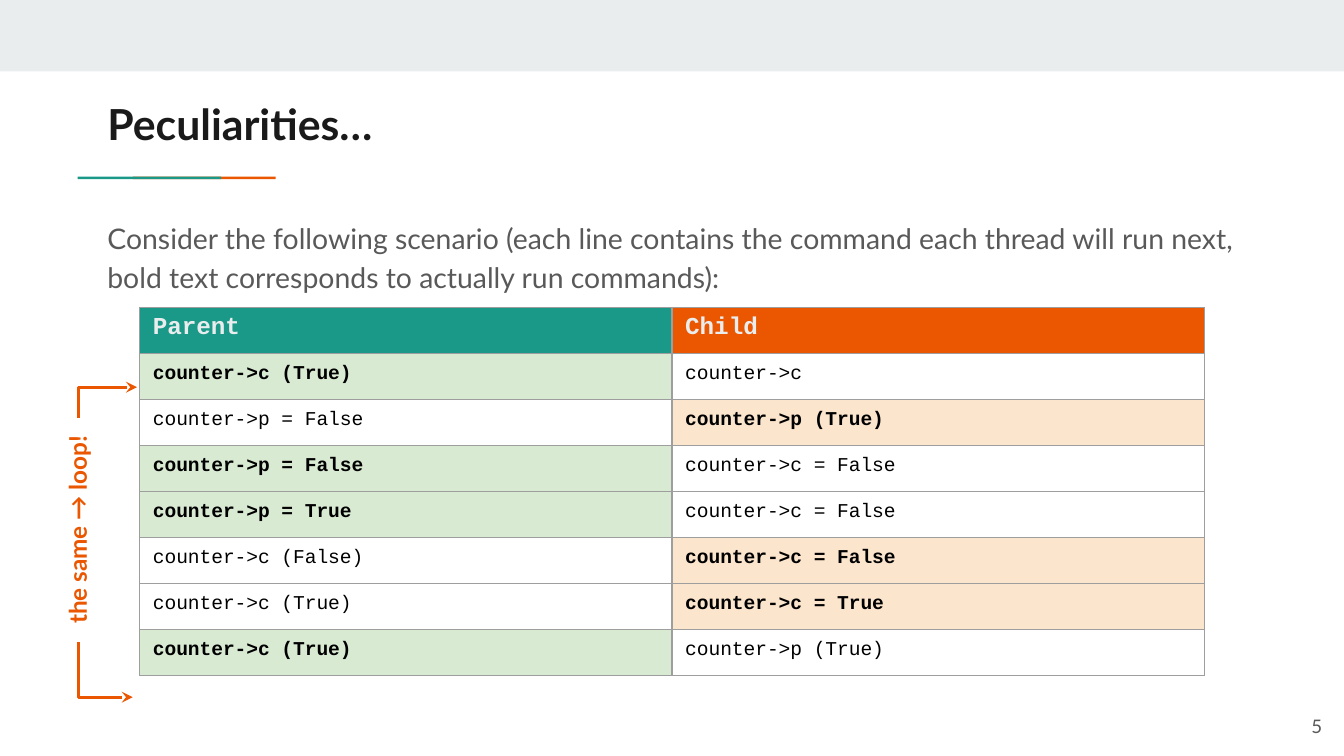
import pptx
import pptx.dml.color
import pptx.enum.shapes
import pptx.enum.text
import pptx.oxml
import pptx.oxml.ns
import pptx.util

Cm = pptx.util.Cm
Pt = pptx.util.Pt
ALIGN = pptx.enum.text.PP_ALIGN
ANCHOR = pptx.enum.text.MSO_ANCHOR
NS = pptx.oxml.ns.nsdecls("a")
TEAL, ORANGE, GREY = "1A9988", "EB5600", "595959"


def rgb(value):
    return pptx.dml.color.RGBColor.from_string(value)


def write(tf, text, color, margins, para=None, **font):
    tf.word_wrap = True
    tf.auto_size = pptx.enum.text.MSO_AUTO_SIZE.NONE
    for side, value in zip(("left", "top", "right", "bottom"), margins):
        setattr(tf, "margin_" + side, Cm(value))
    p = tf.paragraphs[0]
    for name, value in {"alignment": ALIGN.LEFT, **(para or {})}.items():
        setattr(p, name, value)
    r = p.add_run()
    r.text = text
    r.font.color.rgb = rgb(color)
    for name, value in {"name": "Lato", "bold": False, **font}.items():
        setattr(r.font, name, value)


prs = pptx.Presentation()
prs.slide_width, prs.slide_height = Cm(25.4), Cm(14.29)
slide = prs.slides.add_slide(prs.slide_layouts[5])

bars = [
    (0, 0, 25.4, 1.35, "E9EDEE"),
    (2.51, 3.34, 2.7, 0.05, ORANGE),
    (1.47, 3.34, 2.71, 0.05, TEAL),
]
for x, y, w, h, color in bars:
    sp = slide.shapes.add_shape(
        pptx.enum.shapes.MSO_SHAPE.RECTANGLE, Cm(x), Cm(y), Cm(w), Cm(h))
    sp.shadow.inherit = False
    sp.fill.solid()
    sp.fill.fore_color.rgb = rgb(color)
    sp.line.fill.background()

title = slide.shapes.title
box = {"left": 2.03, "top": 1.6, "width": 21.36, "height": 1.5}
for name, value in box.items():
    setattr(title, name, Cm(value))
title.text_frame.vertical_anchor = ANCHOR.TOP
write(title.text_frame, "Peculiarities…", "1A1A1A", (0, 0.25, 0, 0.25),
      size=Pt(22.9), bold=True)

sp = slide.shapes.add_textbox(Cm(2.03), Cm(3.84), Cm(21.36), Cm(1.98))
write(sp.text_frame,
      "Consider the following scenario (each line contains the command each "
      "thread will run next, bold text corresponds to actually run commands):",
      GREY, (0, 0.25, 0, 0.25),
      {"line_spacing": 1.15, "space_after": Pt(12)}, size=Pt(15.2))

sp = slide.shapes.add_textbox(Cm(23.72), Cm(13.18), Cm(1.52), Cm(1.09))
sp.text_frame.vertical_anchor = ANCHOR.MIDDLE
write(sp.text_frame, "5", GREY, (0.25,) * 4, {"alignment": ALIGN.RIGHT}, size=Pt(10))

PARENT, CHILD = 0, 1
steps = [
    ("counter->c (True)", "counter->c", PARENT),
    ("counter->p = False", "counter->p (True)", CHILD),
    ("counter->p = False", "counter->c = False", PARENT),
    ("counter->p = True", "counter->c = False", PARENT),
    ("counter->c (False)", "counter->c = False", CHILD),
    ("counter->c (True)", "counter->c = True", CHILD),
    ("counter->c (True)", "counter->p (True)", PARENT),
]
rows = [("Parent", "Child", None)] + steps
row_height = 0.87
table = slide.shapes.add_table(
    len(rows), 2, Cm(2.64), Cm(5.81), Cm(20.12), Cm(row_height * len(rows))).table
for i, (parent, child, running) in enumerate(rows):
    table.rows[i].height = Cm(row_height)
    for j, text in enumerate((parent, child)):
        cell = table.cell(i, j)
        active = running == j
        if i == 0:
            fill, color, para = (TEAL, ORANGE)[j], "E9EDEE", {}
            font = {"size": Pt(13), "bold": True}
        else:
            fill = ("D9EAD3", "FCE5CD")[j] if active else None
            color, para = "000000", {"line_spacing": 1.15}
            font = {"size": Pt(10.5), "bold": active}
        cell.margin_left = cell.margin_right = Cm(0.25)
        cell.margin_top = cell.margin_bottom = Cm(0.13)
        write(cell.text_frame, text, color, (), para, name="Courier New", **font)
        tcPr = cell._tc.get_or_add_tcPr()
        for side in ("lnL", "lnR", "lnT", "lnB"):
            tcPr.append(pptx.oxml.parse_xml(
                f'<a:{side} {NS} w="9525"><a:solidFill><a:srgbClr val="9E9E9E"/>'
                f'</a:solidFill></a:{side}>'))
        if fill:
            cell.fill.solid()
            cell.fill.fore_color.rgb = rgb(fill)
        else:
            cell.fill.background()

sp = slide.shapes.add_textbox(Cm(-0.64), Cm(9.47), Cm(4.24), Cm(1.09))
sp.rotation = 270
write(sp.text_frame, "the same → loop!", ORANGE, (0.25,) * 4,
      {"alignment": ALIGN.CENTER}, size=Pt(13), bold=True)

for tip_x, tip_y, start_y in ((2.51, 13.18, 12.14), (2.59, 7.32, 7.9)):
    cx = slide.shapes.add_connector(
        pptx.enum.shapes.MSO_CONNECTOR.ELBOW,
        Cm(tip_x), Cm(tip_y), Cm(1.48), Cm(start_y))
    cx.line.color.rgb = rgb(ORANGE)
    cx.line.width = Pt(1.5)
    cx.line._get_or_add_ln().append(
        pptx.oxml.parse_xml(f'<a:headEnd {NS} type="stealth"/>'))
    spPr = cx._element.spPr
    spPr.append(pptx.oxml.parse_xml(f'<a:effectLst {NS}/>'))
    geom = spPr.find(pptx.oxml.ns.qn("a:prstGeom"))
    for old in list(geom):
        geom.remove(old)
    geom.append(pptx.oxml.parse_xml(
        f'<a:avLst {NS}><a:gd name="adj1" fmla="val 100000"/></a:avLst>'))

prs.save("out.pptx")
